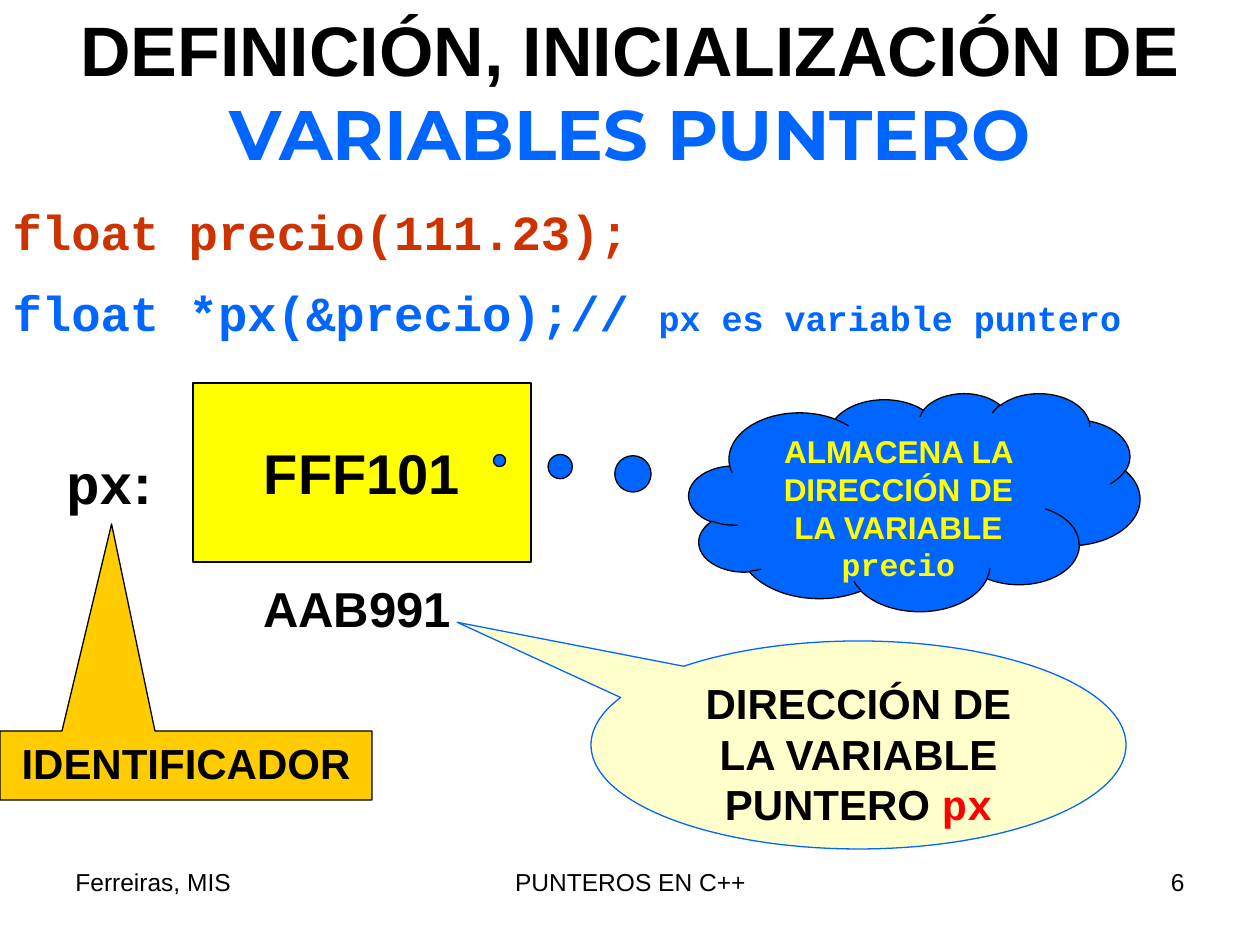
from pptx import Presentation
from pptx.dml.color import RGBColor
from pptx.enum.shapes import MSO_SHAPE
from pptx.enum.text import MSO_ANCHOR, MSO_AUTO_SIZE, PP_ALIGN
from pptx.util import Emu, Pt
from lxml import etree

PX = 914400 / 126
SANS, MONO, DISPLAY = "Arial", "Courier New", "Montserrat"
BLACK, BLUE, YELLOW = "000000", "0066FF", "FFFF00"
LEFT, CENTER, RIGHT = PP_ALIGN.LEFT, PP_ALIGN.CENTER, PP_ALIGN.RIGHT


def px(length):
    return Emu(round(length * PX))


def color(value):
    return RGBColor.from_string(value)


class PointerSlide:
    """Holds the slide and the shared text and shape style."""

    def __init__(self, deck):
        self.slide = deck.slides.add_slide(deck.slide_layouts[1])

    def add_runs(self, paragraph, size, runs, align=CENTER, bold=True):
        """Each run is (text, font, colour) with an optional own size."""
        paragraph.alignment = align
        for text, font, ink, *own_size in runs:
            run = paragraph.add_run()
            run.text = text
            run.font.name = font
            run.font.size = Pt(own_size[0] if own_size else size)
            run.font.bold = bold
            run.font.color.rgb = color(ink)

    def frame(self, shape, anchor=MSO_ANCHOR.TOP, wrap=True):
        frame = shape.text_frame
        frame.word_wrap = wrap
        frame.auto_size = MSO_AUTO_SIZE.NONE
        frame.vertical_anchor = anchor
        return frame

    def place(self, shape, box):
        shape.left, shape.top, shape.width, shape.height = map(px, box)

    def title(self, box, size, runs):
        heading = self.slide.shapes.title
        self.place(heading, box)
        self.add_runs(self.frame(heading).paragraphs[0], size, runs)

    def code(self, box, size, lines, gap):
        body = self.slide.placeholders[1]
        self.place(body, box)
        frame = self.frame(body)
        for index, runs in enumerate(lines):
            line = frame.add_paragraph() if index else frame.paragraphs[0]
            properties = line._p.get_or_add_pPr()
            properties.set("marL", "0")
            properties.set("indent", "0")
            etree.SubElement(
                properties,
                "{http://schemas.openxmlformats.org/drawingml/2006/main}buNone")
            line.space_before = Pt(gap if index else 0)
            self.add_runs(line, size, runs, LEFT)

    def label(self, box, size, runs, align=LEFT, bold=True):
        text_box = self.slide.shapes.add_textbox(*map(px, box))
        self.add_runs(self.frame(text_box).paragraphs[0], size, runs, align, bold)

    def shape(self, kind, box, fill, size, runs, line=BLACK, tip=(),
              anchor=MSO_ANCHOR.TOP, wrap=True):
        shape = self.slide.shapes.add_shape(kind, *map(px, box))
        shape.shadow.inherit = False
        shape.fill.solid()
        shape.fill.fore_color.rgb = color(fill)
        shape.line.color.rgb = color(line)
        shape.line.width = Pt(0.75)
        for index, offset in enumerate(tip):
            shape.adjustments[index] = offset
        self.add_runs(self.frame(shape, anchor, wrap).paragraphs[0], size, runs)


def main():
    deck = Presentation()
    deck.slide_width, deck.slide_height = px(1260), px(945)
    page = PointerSlide(deck)

    # Memory cell with its address and identifier
    page.shape(MSO_SHAPE.RECTANGLE, (193, 383, 338, 179), YELLOW, 32,
               [("FFF101", SANS, BLACK)], anchor=MSO_ANCHOR.MIDDLE, wrap=False)
    page.label((233, 572, 248, 72), 28, [("AAB991", SANS, BLACK)], CENTER)
    page.label((54, 442, 149, 81), 32,
               [("px", MONO, BLACK), (":", SANS, BLACK)])

    # Callouts explaining each part
    page.shape(MSO_SHAPE.RECTANGULAR_CALLOUT, (0, 731, 372, 69), "FFCC00", 24,
               [("IDENTIFICADOR", SANS, BLACK)], tip=(-0.2, -3.5))
    page.shape(MSO_SHAPE.OVAL_CALLOUT, (591, 641, 535, 208), "FFFFCC", 24,
               [("DIRECCIÓN DE LA VARIABLE PUNTERO ", SANS, BLACK),
                ("px", MONO, "FF0000")],
               line=BLUE, tip=(-0.75, -0.59))
    page.shape(MSO_SHAPE.CLOUD_CALLOUT, (689, 393, 451, 218), BLUE, 18,
               [("ALMACENA LA DIRECCIÓN DE LA VARIABLE ", SANS, YELLOW),
                ("precio", MONO, YELLOW)],
               tip=(-0.92, -0.19))

    # Title and declarations
    page.title((0, 0, 1260, 181), 40,
               [("DEFINICIÓN, INICIALIZACIÓN DE ", SANS, BLACK),
                ("VARIABLES PUNTERO", DISPLAY, BLUE)])
    page.code((0, 195, 1260, 152), 28,
              [[("float precio(111.23);", MONO, "CC3300")],
               [("float *px(&precio);// ", MONO, BLUE),
                ("px es variable puntero", MONO, BLUE, 20)]],
              gap=12.5)

    # Footer
    for left, width, text, align in ((63, 294, "Ferreiras, MIS", LEFT),
                                     (431, 399, "PUNTEROS EN C++", CENTER),
                                     (903, 294, "6", RIGHT)):
        page.label((left, 861, width, 66), 14, [(text, SANS, BLACK)],
                   align, bold=False)

    deck.save("out.pptx")


if __name__ == "__main__":
    main()
